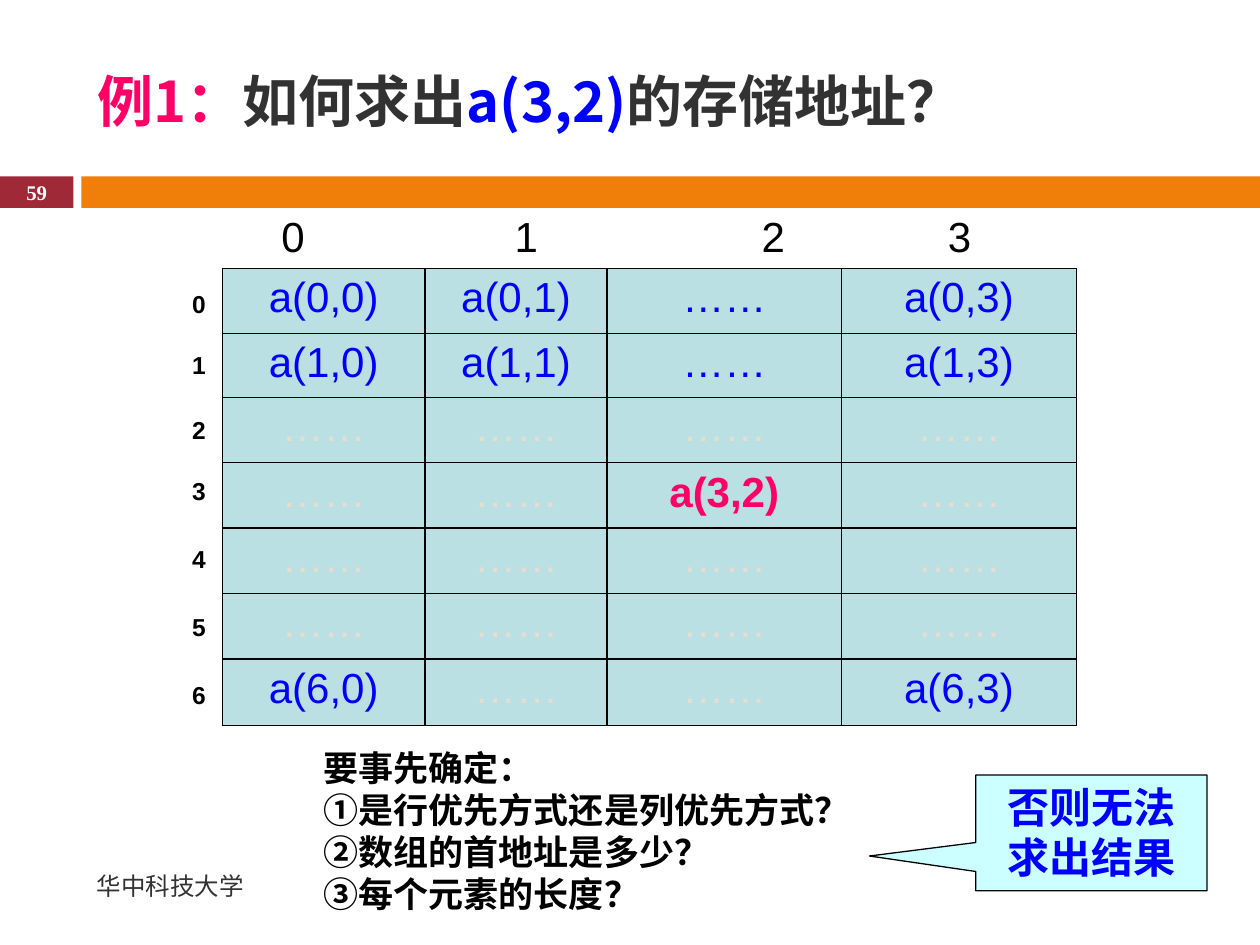
from lxml.etree import SubElement
from pptx import Presentation
from pptx.dml.color import RGBColor
from pptx.enum.lang import MSO_LANGUAGE_ID
from pptx.enum.shapes import MSO_SHAPE
from pptx.enum.text import MSO_ANCHOR, PP_ALIGN
from pptx.oxml.ns import qn
from pptx.util import Inches, Pt

# Colours and fonts
PINK = RGBColor(0xFF, 0x00, 0x66)
BLUE = RGBColor(0x00, 0x00, 0xFF)
DARK = RGBColor(0x32, 0x32, 0x32)
BLACK = RGBColor(0x00, 0x00, 0x00)
WHITE = RGBColor(0xFF, 0xFF, 0xFF)
SAND = RGBColor(0xE3, 0xDE, 0xD1)
TEAL = RGBColor(0xBB, 0xE0, 0xE3)
AQUA = RGBColor(0xCC, 0xFF, 0xFF)
RED = RGBColor(0x9F, 0x29, 0x36)
ORANGE = RGBColor(0xF0, 0x7F, 0x09)
SANS, SERIF, HAN = "Arial", "Times New Roman", "Noto Sans CJK SC"

# The slide is a grid of 100 columns by 75 rows
UNIT = Inches(0.1)
PLAIN = "{2D5ABB26-0587-4C30-8999-92F81FD0307C}"
DOTS = "……"


def grid(*steps):
    return [round(step * UNIT) for step in steps]


def write(frame, *lines, font=SANS, size=24, color=BLACK, bold=False,
          align=PP_ALIGN.LEFT, anchor=MSO_ANCHOR.TOP, tab=None):
    """Each line is a string or a list of (text, colour) pairs."""
    frame.word_wrap = True
    frame.vertical_anchor = anchor
    for i, line in enumerate(lines):
        para = frame.add_paragraph() if i else frame.paragraphs[0]
        para.alignment = align
        if tab:
            stops = SubElement(para._p.get_or_add_pPr(), qn("a:tabLst"))
            SubElement(stops, qn("a:tab"), pos=str(grid(tab)[0]), algn="l")
        for text, tint in [(line, color)] if isinstance(line, str) else line:
            run = para.add_run()
            run.text = text
            run.font.name = font
            run.font.size = Pt(size)
            run.font.bold = bold
            run.font.color.rgb = tint
            if any(ord(char) > 0x2E80 for char in text):
                run.font.language_id = MSO_LANGUAGE_ID.SIMPLIFIED_CHINESE
                SubElement(run.font._element, qn("a:ea"), typeface=HAN)


def label(slide, box, *lines, **style):
    write(slide.shapes.add_textbox(*grid(*box)).text_frame, *lines, **style)


def block(slide, box, fill, kind=MSO_SHAPE.RECTANGLE):
    shape = slide.shapes.add_shape(kind, *grid(*box))
    shape.shadow.inherit = False
    shape.fill.solid()
    shape.fill.fore_color.rgb = fill
    shape.line.fill.background()
    return shape


def matrix(slide, left, top, cols, rows):
    box = grid(left, top, sum(cols), sum(rows))
    table = slide.shapes.add_table(len(rows), len(cols), *box).table
    table.first_row = table.horz_banding = False
    table._tbl.tblPr.find(qn("a:tableStyleId")).text = PLAIN
    for col, width in zip(table.columns, grid(*cols)):
        col.width = width
    for row, height in zip(table.rows, grid(*rows)):
        row.height = height
    return table


def border(cell, top):
    props = cell._tc.get_or_add_tcPr()
    for side, width in (("L", 1), ("R", 1), ("T", top), ("B", 1)):
        line = SubElement(props, qn(f"a:ln{side}"), w=str(Pt(width)))
        fill = SubElement(line, qn("a:solidFill"))
        SubElement(fill, qn("a:srgbClr"), val=str(BLACK))


def array(slide):
    """The 7 by 4 array, with the wanted element picked out."""
    names = {(r, c): f"a({r},{c})" for r in (0, 1) for c in (0, 1, 3)}
    names |= {(3, 2): "a(3,2)", (6, 0): "a(6,0)", (6, 3): "a(6,3)"}
    rows = [5.15, 5.08, 5.2, 5.2, 5.2, 5.17, 5.3]
    table = matrix(slide, 17.64, 21.3, [16.1, 14.43, 18.63, 18.63], rows)
    for r in range(7):
        for c in range(4):
            cell = table.cell(r, c)
            border(cell, 1 if r else 0.25)
            cell.fill.solid()
            cell.fill.fore_color.rgb = TEAL
            hit = (r, c) == (3, 2)
            blue = r < 2 or (r, c) in names
            write(cell.text_frame, names.get((r, c), DOTS), bold=hit,
                  color=PINK if hit else BLUE if blue else SAND,
                  align=PP_ALIGN.CENTER)


def indexes(slide):
    """Column numbers above the array, row numbers at its left."""
    head = matrix(slide, 17.64, 16.5, [22.2, 19.6, 26], [5.3])
    head.cell(0, 0).margin_left = grid(4.7)[0]
    side = matrix(slide, 14.24, 22.6, [4.3],
                  [4.83, 5.2, 4.87, 5.4, 5.4, 5.4, 5.4])
    for c, text in enumerate(["0", "1", "2\t3"]):
        write(head.cell(0, c).text_frame, text, tab=14.8)
    for r in range(7):
        write(side.cell(r, 0).text_frame, str(r), size=14, bold=True)


def main():
    deck = Presentation()
    deck.slide_width, deck.slide_height = grid(100, 75)
    slide = deck.slides.add_slide(deck.slide_layouts[6])

    # Title, band, footer and page number
    block(slide, (0, 14, 5.83, 2.5), RED)
    block(slide, (6.46, 14, 93.54, 2.5), ORANGE)
    label(slide, (6.74, 2.55, 89.2, 10.8),
          [("例1：", PINK), ("如何求出", DARK), ("a(3,2)", BLUE),
           ("的存储地址？", DARK)],
          font=HAN, size=32, bold=True, anchor=MSO_ANCHOR.MIDDLE)
    label(slide, (6.7, 68.3, 59.3, 4), "华中科技大学", font=SERIF, size=14,
          color=DARK, anchor=MSO_ANCHOR.MIDDLE)
    label(slide, (0, 13.9, 5.83, 2.7), "59", font=SERIF, size=11.9, bold=True,
          color=WHITE, align=PP_ALIGN.CENTER, anchor=MSO_ANCHOR.MIDDLE)

    # Array and its indexes
    array(slide)
    indexes(slide)

    # Questions to settle first
    label(slide, (24.7, 58.75, 60.6, 14.5), "要事先确定：",
          "①是行优先方式还是列优先方式？", "②数组的首地址是多少？",
          "③每个元素的长度？", font=HAN, size=20, bold=True)

    # Callout
    note = block(slide, (77.44, 61.5, 18.35, 9.2), AQUA,
                 MSO_SHAPE.RECTANGULAR_CALLOUT)
    note.adjustments[0], note.adjustments[1] = -0.96, 0.2
    note.line.color.rgb = BLACK
    note.line.width = Pt(0.75)
    write(note.text_frame, "否则无法求出结果", font=SERIF, bold=True,
          color=BLUE, align=PP_ALIGN.CENTER)

    deck.save("out.pptx")


if __name__ == "__main__":
    main()
